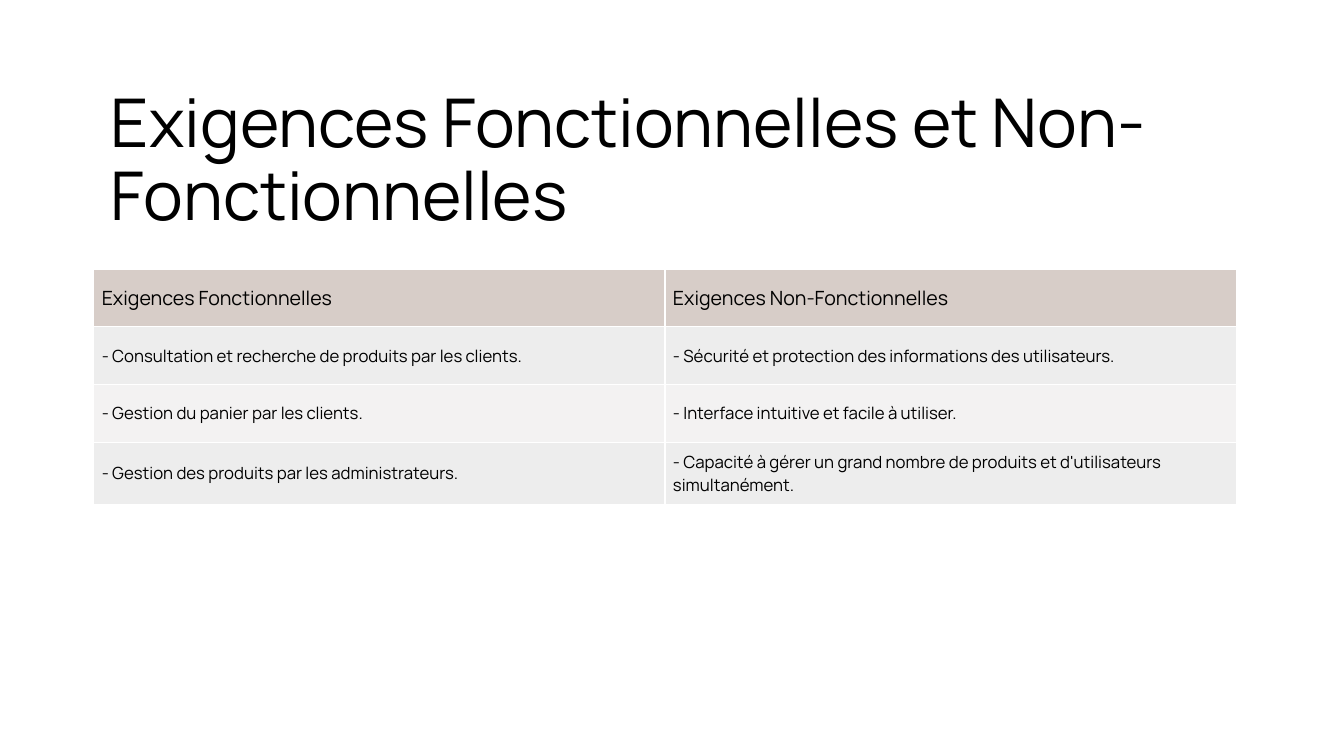
from typing import NamedTuple

from lxml import etree
from pptx import Presentation
from pptx import util as u
from pptx.dml.color import RGBColor
from pptx.enum import text as t
from pptx.oxml import ns

FONT = "Manrope"
COLOURS = {
    "ink": "000000",
    "border": "FFFFFF",
    "header": "D7CDC8",
    "odd": "EDEDED",
    "even": "F3F2F2",
}


class Requirement(NamedTuple):
    functional: str
    non_functional: str
    fill: str
    size: int = 12


REQUIREMENTS = [
    Requirement("Exigences Fonctionnelles", "Exigences Non-Fonctionnelles", "header", 14),
    Requirement("- Consultation et recherche de produits par les clients.",
                "- Sécurité et protection des informations des utilisateurs.", "odd"),
    Requirement("- Gestion du panier par les clients.",
                "- Interface intuitive et facile à utiliser.", "even"),
    Requirement("- Gestion des produits par les administrateurs.",
                "- Capacité à gérer un grand nombre de produits et d'utilisateurs simultanément.",
                "odd"),
]


def colour(name: str) -> RGBColor:
    return RGBColor.from_string(COLOURS[name])


def write(frame, words: str, size: int) -> None:
    paragraph = frame.paragraphs[0]
    paragraph.alignment = t.PP_ALIGN.LEFT
    run = paragraph.add_run()
    run.text = words
    run.font.name = FONT
    run.font.size = u.Pt(size)
    run.font.bold = False
    run.font.color.rgb = colour("ink")


def add_borders(cell) -> None:
    properties = cell._tc.get_or_add_tcPr()
    for position, side in enumerate(("lnL", "lnR", "lnT", "lnB")):
        line = etree.Element(ns.qn(f"a:{side}"), w=str(u.Pt(1)))
        fill = etree.SubElement(line, ns.qn("a:solidFill"))
        etree.SubElement(fill, ns.qn("a:srgbClr"), val=COLOURS["border"])
        properties.insert(position, line)


def add_title(slide) -> None:
    title = slide.shapes.title
    title.left, title.top = u.Inches(1), u.Inches(0.79)
    title.width, title.height = u.Inches(11.42), u.Inches(1.44)
    frame = title.text_frame
    frame.word_wrap = True
    frame.auto_size = t.MSO_AUTO_SIZE.NONE
    frame.vertical_anchor = t.MSO_ANCHOR.TOP
    frame.margin_left = frame.margin_right = u.Inches(0.1)
    frame.margin_top = frame.margin_bottom = u.Inches(0.1)
    write(frame, "Exigences Fonctionnelles et Non-Fonctionnelles", 48)
    frame.paragraphs[0].line_spacing = 0.9


def add_requirements(slide) -> None:
    table = slide.shapes.add_table(
        len(REQUIREMENTS), 2,
        u.Inches(0.93), u.Inches(2.67), u.Inches(11.33), u.Inches(2.29)).table
    for row, requirement in enumerate(REQUIREMENTS):
        for column, words in enumerate((requirement.functional, requirement.non_functional)):
            cell = table.cell(row, column)
            cell.fill.solid()
            cell.fill.fore_color.rgb = colour(requirement.fill)
            cell.vertical_anchor = t.MSO_ANCHOR.MIDDLE
            cell.margin_left = cell.margin_right = u.Inches(0.08)
            cell.margin_top = cell.margin_bottom = u.Inches(0.08)
            write(cell.text_frame, words, requirement.size)
            add_borders(cell)


def main() -> None:
    deck = Presentation()
    deck.slide_width, deck.slide_height = u.Inches(13.33), u.Inches(7.5)
    slide = deck.slides.add_slide(deck.slide_layouts.get_by_name("Title Only"))
    add_title(slide)
    add_requirements(slide)
    deck.save("out.pptx")


if __name__ == "__main__":
    main()
